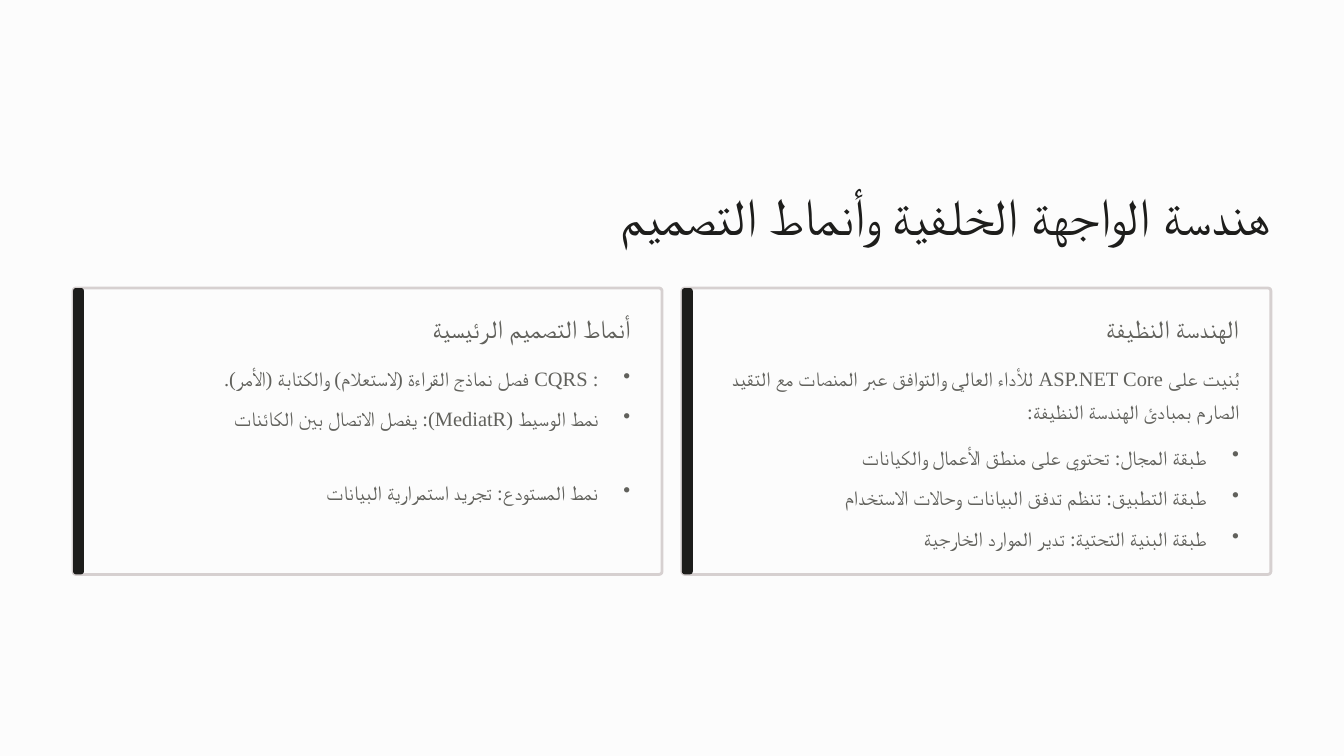
"""Build an Arabic slide with two cards on backend architecture and design patterns."""
from lxml import etree
from pptx import Presentation
from pptx import util as u
from pptx.dml.color import RGBColor
from pptx.enum import shapes, text
from pptx.oxml import ns

COLORS = {"paper": "FCFCFC", "ink": "1D1D1B", "body": "61615C", "border": "D6D0D0"}
FONT = "Times New Roman"
STYLES = {
    "title": {"size": 44.5, "spacing": 55.5, "color": "ink"},
    "heading": {"size": 22, "spacing": 27.5, "color": "body"},
    "body": {"size": 17.5, "spacing": 28.5, "color": "body"},
}
INDENT = u.Cm(0.97)
CARD_TOP, CARD_WIDTH, CARD_HEIGHT = 8.71, 17.81, 8.66
ONE_LINE, TWO_LINES, GAP, INTRO_GAP = 1.02, 2.01, 0.21, 0.37

CARDS = [
    {"left": 20.62, "heading": "الهندسة النظيفة", "items": [
        ("بُنيت على ASP.NET Core للأداء العالي والتوافق عبر المنصات مع التقيد الصارم بمبادئ الهندسة النظيفة:",
         TWO_LINES, False),
        ("طبقة المجال: تحتوي على منطق الأعمال والكيانات", ONE_LINE, True),
        ("طبقة التطبيق: تنظم تدفق البيانات وحالات الاستخدام", ONE_LINE, True),
        ("طبقة البنية التحتية: تدير الموارد الخارجية", ONE_LINE, True),
    ]},
    {"left": 2.21, "heading": "أنماط التصميم الرئيسية", "items": [
        (": CQRS فصل نماذج القراءة (لاستعلام) والكتابة (الأمر).", ONE_LINE, True),
        ("نمط الوسيط (MediatR): يفصل الاتصال بين الكائنات", TWO_LINES, True),
        ("نمط المستودع: تجريد استمرارية البيانات", ONE_LINE, True),
    ]},
]

deck = Presentation()
deck.slide_width, deck.slide_height = u.Cm(40.64), u.Cm(22.86)
page = deck.slides.add_slide(deck.slide_layouts[6])
page.background.fill.solid()
page.background.fill.fore_color.rgb = RGBColor.from_string(COLORS["paper"])


def add_text(words, left, top, width, height, style, bullet=False, wrap=False):
    box = page.shapes.add_textbox(u.Cm(left), u.Cm(top), u.Cm(width), u.Cm(height))
    frame = box.text_frame
    frame_format = {"margin_left": 0, "margin_top": 0, "margin_right": 0,
                    "margin_bottom": 0, "word_wrap": wrap}
    for name, value in frame_format.items():
        setattr(frame, name, value)
    para = frame.paragraphs[0]
    para.alignment = text.PP_ALIGN.RIGHT
    para.line_spacing = u.Pt(STYLES[style]["spacing"])
    properties = para._p.get_or_add_pPr()
    properties.set("rtl", "1")
    if bullet:
        properties.set("marR", "0")
        properties.set("marL", str(INDENT))
        properties.set("indent", str(-INDENT))
        etree.SubElement(properties, ns.qn("a:buChar")).set("char", "•")
    span = para.add_run()
    span.text = words
    for name, value in {"name": FONT, "size": u.Pt(STYLES[style]["size"])}.items():
        setattr(span.font, name, value)
    span.font.color.rgb = RGBColor.from_string(COLORS[STYLES[style]["color"]])
    etree.SubElement(span._r.get_or_add_rPr(), ns.qn("a:cs")).set("typeface", FONT)


def add_panel(left, width, corner, fill, border=None):
    panel = page.shapes.add_shape(
        shapes.MSO_SHAPE.ROUNDED_RECTANGLE,
        u.Cm(left), u.Cm(CARD_TOP), u.Cm(width), u.Cm(CARD_HEIGHT))
    panel.shadow.inherit = False
    panel.adjustments[0] = corner
    panel.fill.solid()
    panel.fill.fore_color.rgb = RGBColor.from_string(COLORS[fill])
    if border:
        panel.line.color.rgb = RGBColor.from_string(COLORS[border])
        panel.line.width = u.Pt(2.4)
    else:
        panel.line.fill.background()


add_text("هندسة الواجهة الخلفية وأنماط التصميم", 14.5, 5.49, 23.93, 1.98, "title")

for card in CARDS:
    left = card["left"]
    add_panel(left, CARD_WIDTH, 0.01, "paper", "border")
    add_panel(left, 0.33, 0.28, "ink")
    add_text(card["heading"], left + 8.97, 9.42, 7.87, 0.99, "heading")
    top = 10.8
    for words, height, bullet in card["items"]:
        add_text(words, left + 0.73, top, 16.13, height, "body", bullet, height == TWO_LINES)
        top += height + (GAP if bullet else INTRO_GAP)

deck.save("out.pptx")
